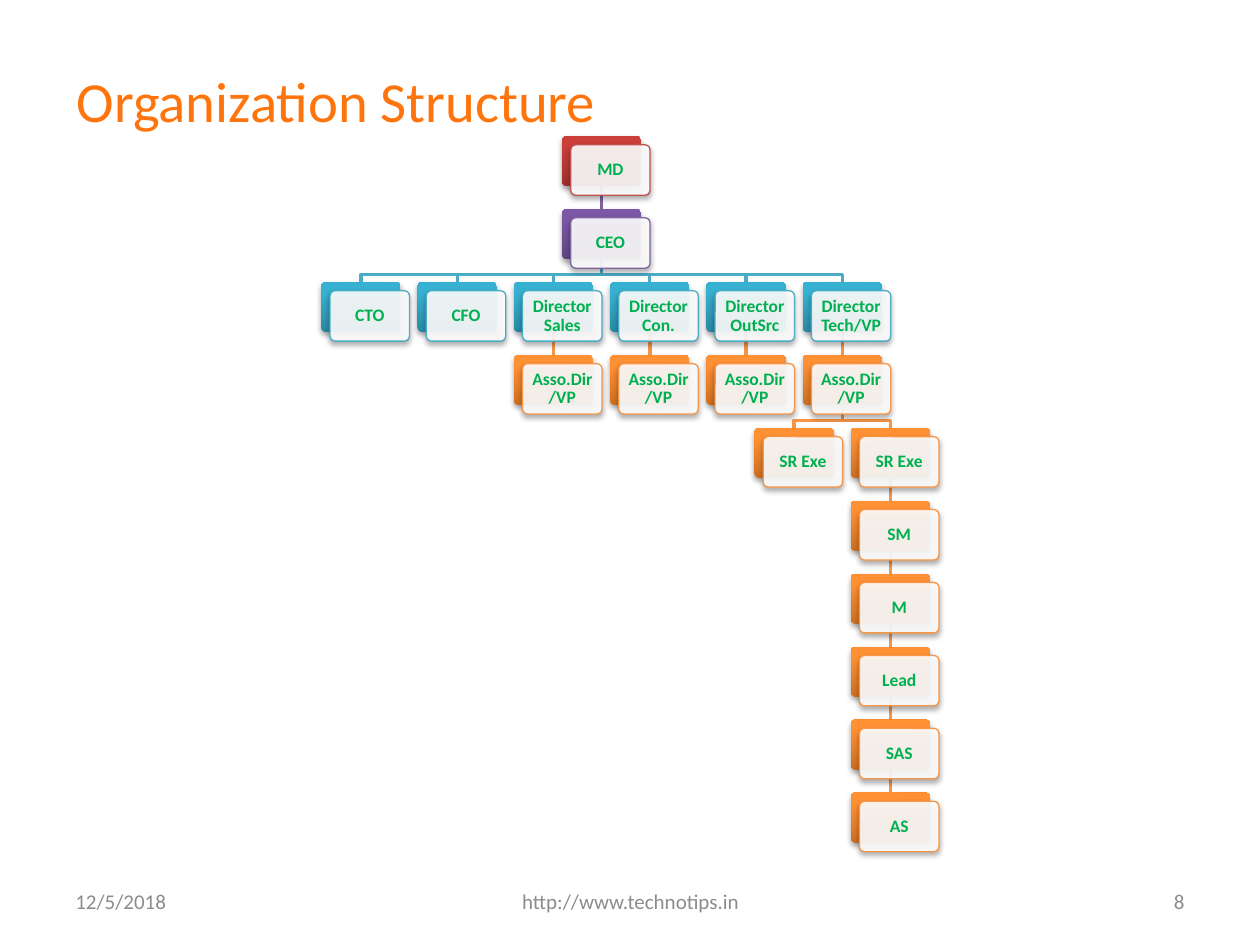
from lxml import etree
from pptx import Presentation, util as u
from pptx.dml.color import RGBColor
from pptx.enum import shapes, text
from pptx.oxml import parse_xml
from pptx.oxml.ns import nsdecls, qn

SHADOW = (f'<a:effectLst {nsdecls("a")}><a:outerShdw blurRad="40000" dist="23000" '
          'dir="5400000" rotWithShape="0"><a:srgbClr val="000000"><a:alpha val="35000"/>'
          '</a:srgbClr></a:outerShdw></a:effectLst>')


def color(hex_string):
    return RGBColor.from_string(hex_string)


def write(shape, words, size, hex_string, align, bold=False):
    """Put one styled paragraph in the middle of a shape."""
    frame = shape.text_frame
    frame.word_wrap = True
    frame.vertical_anchor = text.MSO_ANCHOR.MIDDLE
    para = frame.paragraphs[0]
    para.text = words
    para.alignment = align
    para.font.name, para.font.size, para.font.bold = "Calibri", u.Pt(size), bold
    para.font.color.rgb = color(hex_string)
    return para


deck = Presentation()
deck.slide_width, deck.slide_height = u.Inches(10), u.Inches(7.5)
slide = deck.slides.add_slide(deck.slide_layouts[6])
items = slide.shapes

# Title and footer
LEFT, CENTER, RIGHT = text.PP_ALIGN.LEFT, text.PP_ALIGN.CENTER, text.PP_ALIGN.RIGHT
for words, left, top, width, height, size, ink, align in [
    ("Organization Structure", 0.51, 0.5, 9, 0.58, 32.4, "FF750D", LEFT),
    ("http://www.technotips.in", 3.42, 6.95, 3.17, 0.4, 12, "8C8C8C", CENTER),
    ("12/5/2018", 0.5, 6.95, 2.33, 0.4, 12, "8C8C8C", LEFT),
    ("8", 7.17, 6.95, 2.33, 0.4, 12, "8C8C8C", RIGHT),
]:
    box = items.add_textbox(*map(u.Inches, (left, top, width, height)))
    write(box, words, size, ink, align)

# Chart grid, in inches
GRID_LEFT, GRID_TOP = 2.55, 1.08
COLUMN, ROW = (6.37 - 2.55) / 5, (6.29 - 1.08) / 9
CARD_WIDTH, CARD_HEIGHT, OFFSET = 0.63, 0.4, 0.07
BEND = 0.12  # from the foot of a parent to the crossbar

RED = ("C0504D", "9C2F2D", "CB3E3A")  # line, gradient foot, gradient head
PURPLE = ("8064A2", "5F4480", "7B58A6")
BLUE = ("4BACC6", "2A88A2", "37B1D2")
ORANGE = ("F79646", "CC6E20", "FF9034")
LEVELS = [RED, PURPLE, BLUE] + [ORANGE] * 7

# Label, column, row, column of the parent in the row above
nodes = [("MD", 2.5, 0, None), ("CEO", 2.5, 1, 2.5)]
directors = ["CTO", "CFO", "Director Sales", "Director Con.", "Director OutSrc",
             "Director Tech/VP"]
nodes += [(label, column, 2, 2.5) for column, label in enumerate(directors)]
nodes += [("Asso.Dir/VP", column, 3, column) for column in range(2, 6)]
nodes += [("SR Exe", column, 4, 5) for column in (4.5, 5.5)]
nodes += [(label, 5.5, row, 5.5)
          for row, label in enumerate(["SM", "M", "Lead", "SAS", "AS"], start=5)]

# Links, behind the cards
for label, column, row, parent in nodes[1:]:
    x, parent_x = (u.Inches(GRID_LEFT + COLUMN * place + CARD_WIDTH / 2)
                   for place in (column, parent))
    bottom = u.Inches(GRID_TOP + ROW * row)
    top = u.Inches(GRID_TOP + ROW * (row - 1) + CARD_HEIGHT)
    if column == parent:
        link = items.add_connector(shapes.MSO_CONNECTOR.STRAIGHT, x, top, x, bottom)
        etree.SubElement(link._element.spPr, qn("a:effectLst"))
    else:
        bar = top + u.Inches(BEND)
        builder = items.build_freeform(parent_x, top)
        builder.add_line_segments([(parent_x, bar), (x, bar), (x, bottom)], close=False)
        link = builder.convert_to_shape()
        link.fill.background()
        link.shadow.inherit = False
    link.line.color.rgb = color(LEVELS[row][0])
    link.line.width = u.Pt(2)

# Each node is a coloured plate with a white card in front
for label, column, row, parent in nodes:
    edge, foot, head = LEVELS[row]
    left, top = GRID_LEFT + COLUMN * column, GRID_TOP + ROW * row
    plate, card = (
        items.add_shape(shapes.MSO_SHAPE.ROUNDED_RECTANGLE, u.Inches(left + shift),
                        u.Inches(top + shift), u.Inches(CARD_WIDTH), u.Inches(CARD_HEIGHT))
        for shift in (0, OFFSET))

    plate.fill.gradient()
    plate.fill.gradient_angle = 90
    for stop, position, shade in zip(plate.fill.gradient_stops, (0, 0.8), (foot, head)):
        stop.position, stop.color.rgb = position, color(shade)
    plate.line.fill.background()

    card.fill.solid()
    card.fill.fore_color.rgb = color("FFFFFF")
    white = card._element.spPr.find(f'{qn("a:solidFill")}/{qn("a:srgbClr")}')
    etree.SubElement(white, qn("a:alpha"), val="90000")
    card.line.color.rgb = color(edge)
    card.line.width = u.Pt(0.75)

    for shape in (plate, card):
        shape.adjustments[0] = 0.1
        shape._element.spPr.append(parse_xml(SHADOW))

    frame = card.text_frame
    frame.margin_left = frame.margin_right = u.Inches(0.04)
    frame.margin_top = frame.margin_bottom = u.Inches(0.04)
    write(card, label, 10, "00B050", CENTER, bold=True).line_spacing = 0.9

deck.save("out.pptx")
